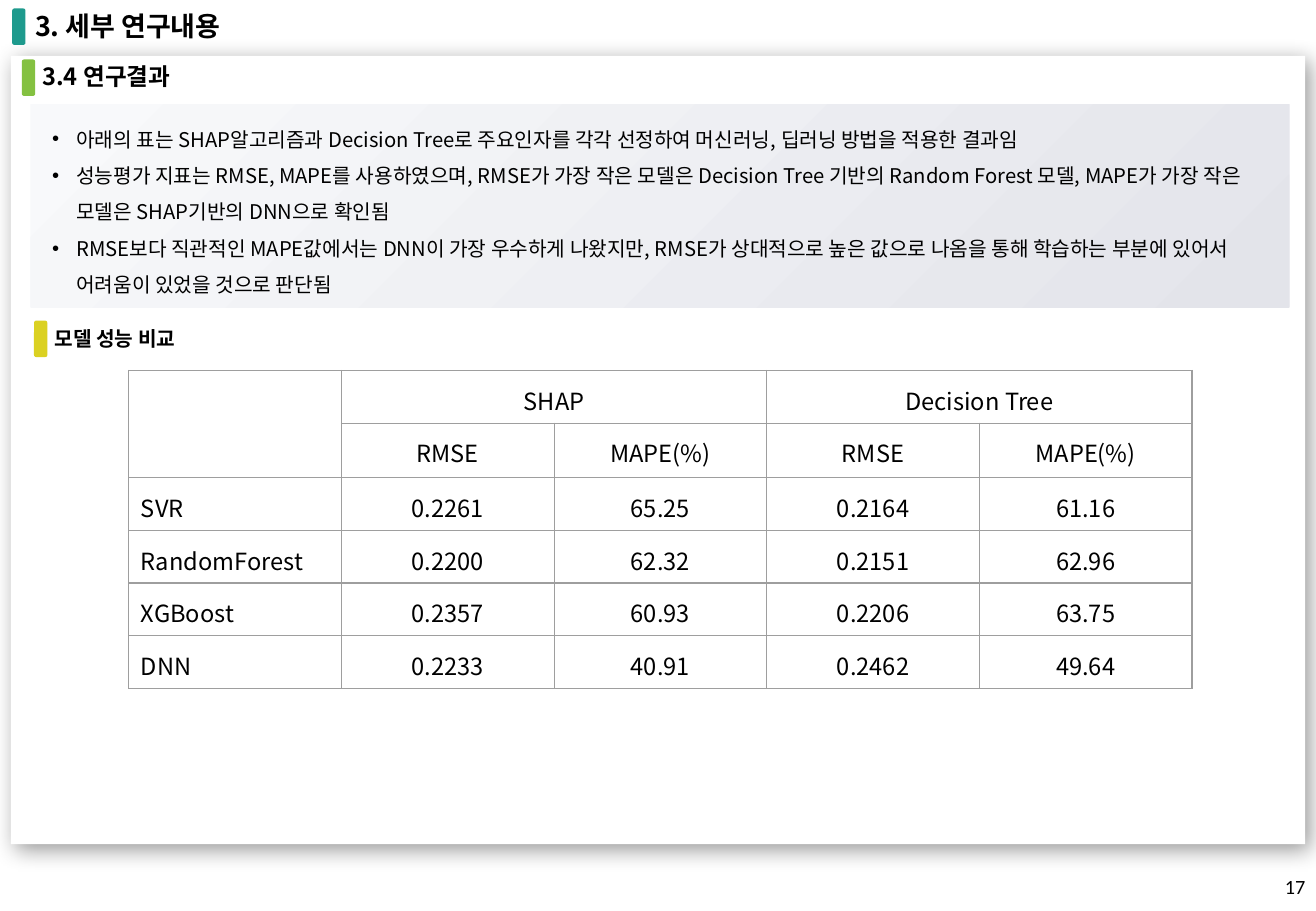
from lxml import etree
from pptx import Presentation
from pptx.dml.color import RGBColor
from pptx.enum.shapes import MSO_SHAPE
from pptx.enum.text import MSO_ANCHOR, PP_ALIGN
from pptx.oxml import parse_xml
from pptx.oxml.ns import nsdecls, qn
from pptx.util import Inches, Pt

RECTANGLE, ROUNDED = MSO_SHAPE.RECTANGLE, MSO_SHAPE.ROUNDED_RECTANGLE
LEFT, CENTER, RIGHT = PP_ALIGN.LEFT, PP_ALIGN.CENTER, PP_ALIGN.RIGHT
TOP, MIDDLE = MSO_ANCHOR.TOP, MSO_ANCHOR.MIDDLE

BLACK = RGBColor(0x00, 0x00, 0x00)
WHITE = RGBColor(0xFF, 0xFF, 0xFF)
TEAL = RGBColor(0x1E, 0x9A, 0x8D)
GREEN = RGBColor(0x84, 0xC1, 0x41)
YELLOW = RGBColor(0xDB, 0xD1, 0x22)
PALE = RGBColor(0xF8, 0xF9, 0xFB)
MIST = RGBColor(0xE3, 0xE4, 0xEA)
BORDER = RGBColor(0x9E, 0x9E, 0x9E)
KOREAN_FONT, NUMBER_FONT = "Noto Sans CJK KR", "Calibri"

# text, size, text box (left, top, width, height), tab (left, top), tab colour
HEADINGS = [
    ("3. 세부 연구내용", 16, (0.19, 0.03, 4.56, 0.37), (0.1, 0.07), TEAL),
    ("3.4 연구결과", 14, (0.25, 0.46, 5.49, 0.34), (0.18, 0.49), GREEN),
    ("모델 성능 비교", 12, (0.35, 2.64, 3.09, 0.3), (0.28, 2.64), YELLOW),
]
TAB_SIZE = (0.11, 0.3)
FINDINGS = [
    "아래의 표는 SHAP알고리즘과 Decision Tree로 주요인자를 각각 선정하여 머신러닝, 딥러닝 방법을 적용한 결과임",
    "성능평가 지표는 RMSE, MAPE를 사용하였으며, RMSE가 가장 작은 모델은 Decision Tree 기반의 "
    "Random Forest 모델, MAPE가 가장 작은 모델은 SHAP기반의 DNN으로 확인됨",
    "RMSE보다 직관적인 MAPE값에서는 DNN이 가장 우수하게 나왔지만, RMSE가 상대적으로 높은 값으로 "
    "나옴을 통해 학습하는 부분에 있어서 어려움이 있었을 것으로 판단됨",
]
SCORES = [
    ("", "SHAP", "", "Decision Tree", ""),
    ("", "RMSE", "MAPE(%)", "RMSE", "MAPE(%)"),
    ("SVR", "0.2261", "65.25", "0.2164", "61.16"),
    ("RandomForest", "0.2200", "62.32", "0.2151", "62.96"),
    ("XGBoost", "0.2357", "60.93", "0.2206", "63.75"),
    ("DNN", "0.2233", "40.91", "0.2462", "49.64"),
]
MERGES = [((0, 0), (1, 0)), ((0, 1), (0, 2)), ((0, 3), (0, 4))]
TABLE_BOX = (1.06, 3.05, 8.75, 2.6)
PAGE_NUMBER = "17"


def inches(values):
    return [Inches(value) for value in values]


def add_span(para, text, size, font=KOREAN_FONT, bold=False):
    span = para.add_run()
    span.text = text
    span.font.size, span.font.bold, span.font.name = Pt(size), bold, font
    span.font.color.rgb = BLACK
    east_asian = etree.SubElement(span.font._element, qn("a:ea"))
    east_asian.set("typeface", font)


def add_block(page, kind, box, colour=None):
    """Add a shape without outline or shadow."""
    block = page.shapes.add_shape(kind, *inches(box))
    block.shadow.inherit = False
    block.line.fill.background()
    if colour is not None:
        block.fill.solid()
        block.fill.fore_color.rgb = colour
    return block


def add_label(page, box, text, size, font=KOREAN_FONT, bold=False, align=LEFT, anchor=TOP):
    frame = page.shapes.add_textbox(*inches(box)).text_frame
    frame.word_wrap = True
    frame.vertical_anchor = anchor
    para = frame.paragraphs[0]
    para.alignment = align
    add_span(para, text, size, font, bold)


def add_card(page):
    card = add_block(page, RECTANGLE, (0.09, 0.46, 10.65, 6.49), WHITE)
    effects = card._element.spPr.find(qn("a:effectLst"))
    effects.append(parse_xml(
        f'<a:outerShdw {nsdecls("a")} blurRad="{Pt(13)}" dist="{Pt(5)}" dir="2700000" '
        'algn="tl" rotWithShape="0"><a:srgbClr val="000000"><a:alpha val="40000"/>'
        '</a:srgbClr></a:outerShdw>'))


def add_findings(page):
    panel = add_block(page, RECTANGLE, (0.25, 0.86, 10.36, 1.67))
    panel.fill.gradient()
    panel.fill.gradient_angle = 315
    for stop, colour in zip(panel.fill.gradient_stops, (PALE, MIST)):
        stop.color.rgb = colour
    frame = panel.text_frame
    frame.word_wrap = True
    frame.vertical_anchor = MIDDLE
    for index, finding in enumerate(FINDINGS):
        para = frame.add_paragraph() if index else frame.paragraphs[0]
        para.alignment = LEFT
        para.line_spacing = 1.5
        properties = para._p.get_or_add_pPr()
        properties.set("marL", str(Inches(0.28)))
        properties.set("indent", str(Inches(-0.2)))
        for bullet in ('<a:buClr {}><a:srgbClr val="000000"/></a:buClr>',
                       '<a:buFont {} typeface="Arial"/>',
                       '<a:buChar {} char="•"/>'):
            properties.append(parse_xml(bullet.format(nsdecls("a"))))
        add_span(para, finding, 12)


def style_cell(cell):
    cell.margin_left = cell.margin_right = cell.margin_top = Inches(0.1)
    cell.margin_bottom = Inches(0.05)
    properties = cell._tc.get_or_add_tcPr()
    for side in ("lnL", "lnR", "lnT", "lnB"):
        properties.append(parse_xml(
            f'<a:{side} {nsdecls("a")} w="{Pt(0.75)}"><a:solidFill>'
            f'<a:srgbClr val="{BORDER}"/></a:solidFill></a:{side}>'))
    cell.fill.background()


def add_scores(page):
    row_count, column_count = len(SCORES), len(SCORES[0])
    table = page.shapes.add_table(row_count, column_count, *inches(TABLE_BOX)).table
    table.first_row = table.horz_banding = False
    for row_index, row in enumerate(SCORES):
        for column_index, text in enumerate(row):
            cell = table.cell(row_index, column_index)
            style_cell(cell)
            if text:
                para = cell.text_frame.paragraphs[0]
                para.alignment = CENTER if column_index else LEFT
                add_span(para, text, 14)
    for first, last in MERGES:
        table.cell(*first).merge(table.cell(*last))


def main():
    deck = Presentation()
    deck.slide_width, deck.slide_height = Inches(10.83), Inches(7.5)
    page = deck.slides.add_slide(deck.slide_layouts[6])
    add_card(page)
    add_findings(page)
    for text, size, box, tab, colour in HEADINGS:
        add_block(page, ROUNDED, tab + TAB_SIZE, colour)
        add_label(page, box, text, size, bold=True)
    add_scores(page)
    add_label(page, (8.4, 7.1, 2.44, 0.4), PAGE_NUMBER, 12, NUMBER_FONT,
              align=RIGHT, anchor=MIDDLE)
    deck.save("out.pptx")


if __name__ == "__main__":
    main()
